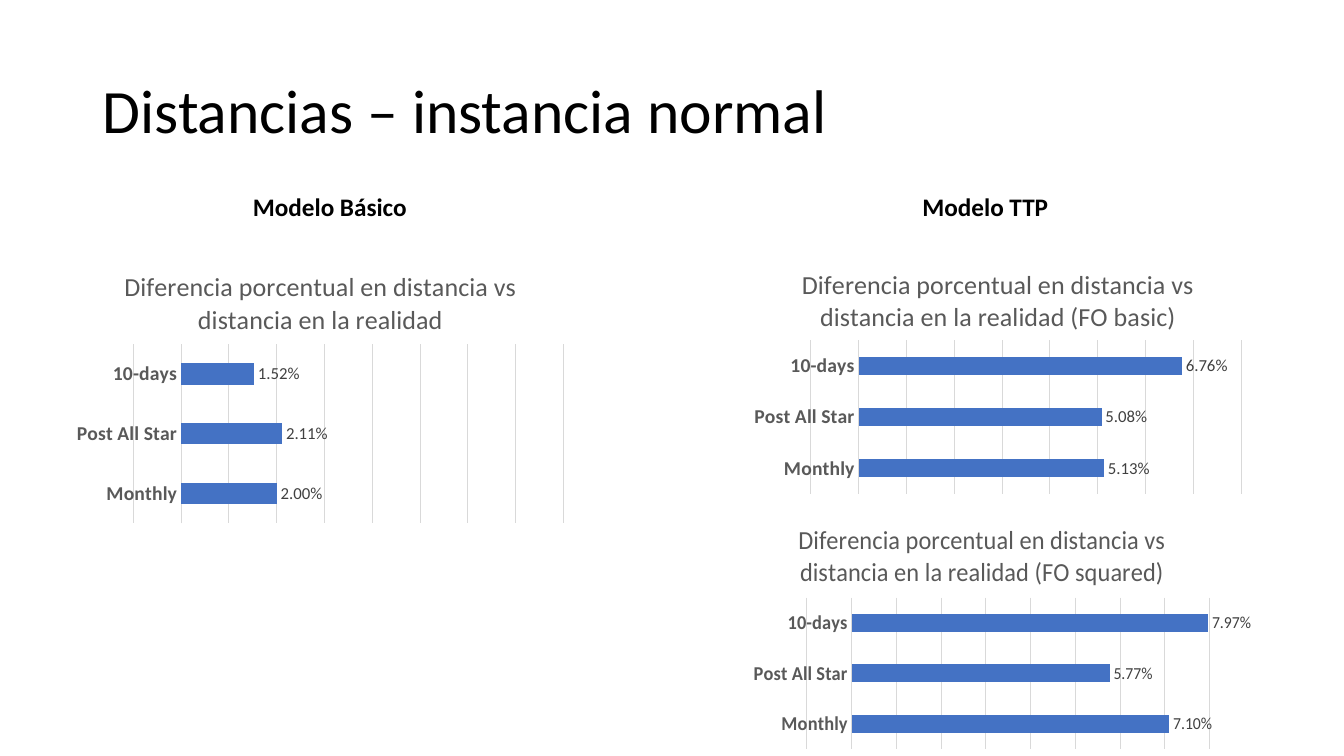
import pptx
import pptx.util
import pptx.dml.color
import pptx.chart.data
import pptx.enum.chart
import pptx.enum.text
import pptx.oxml
import pptx.oxml.ns

Inches = pptx.util.Inches
Pt = pptx.util.Pt
RGB = pptx.dml.color.RGBColor.from_string
XL = pptx.enum.chart

THEME = {
    "font": "Calibri",
    "text": RGB("000000"), "muted": RGB("595959"), "label": RGB("404040"),
    "grid": RGB("D9D9D9"), "bar": RGB("4472C4"),
    "title": Pt(44), "heading": Pt(18), "chart_title": Pt(18.6),
    "axis": Pt(14), "value": Pt(12), "base": Pt(10), "line": Pt(0.75),
}


def style(font, size, color, bold=False):
    font.name = THEME["font"]
    font.size = THEME[size]
    font.color.rgb = THEME[color]
    font.bold = bold


def add_text(s, box, text, size, bold, wrap):
    tf = s.shapes.add_textbox(*map(Inches, box)).text_frame
    tf.word_wrap = wrap
    p = tf.paragraphs[0]
    r = p.add_run()
    r.text = text
    style(r.font, size, "text", bold)
    return tf


prs = pptx.Presentation()
prs.slide_width = Inches(13.33)
prs.slide_height = Inches(7.5)
s = prs.slides.add_slide(prs.slide_layouts[6])

tf = add_text(s, (0.92, 0.4, 11.5, 1.45), "Distancias – instancia normal", "title", False, True)
tf.vertical_anchor = pptx.enum.text.MSO_ANCHOR.MIDDLE
tf.paragraphs[0].line_spacing = 0.9

for left, width, heading in [(2.41, 1.74, "Modelo Básico"), (9.05, 1.46, "Modelo TTP")]:
    tf = add_text(s, (left, 1.85, width, 0.4), heading, "heading", True, False)
    tf.auto_size = pptx.enum.text.MSO_AUTO_SIZE.SHAPE_TO_FIT_TEXT

PERIODS = ["Monthly", "Post All Star", "10-days"]
CHART_TITLE = "Diferencia porcentual en distancia vs distancia en la realidad"
CHARTS = [
    (0.67, 2.51, 2.74, "", (0.02, 0.0211, 0.0152), 0.33, 0.65),
    (7.39, 2.49, 2.46, " (FO basic)", (0.0513, 0.0508, 0.0676), 0.36, 0.62),
    (7.39, 5.02, 2.46, " (FO squared)", (0.071, 0.0577, 0.0797), 0.37, 0.61),
]

for left, top, height, suffix, values, plot_top, plot_height in CHARTS:
    data = pptx.chart.data.CategoryChartData(number_format="0.00%")
    data.categories = PERIODS
    data.add_series("Series 1", values)
    chart = s.shapes.add_chart(
        XL.XL_CHART_TYPE.BAR_CLUSTERED,
        Inches(left), Inches(top), Inches(5.02), Inches(height), data,
    ).chart
    style(chart.font, "base", "text")
    chart.has_legend = False

    chart.has_title = True
    chart.chart_title.include_in_layout = False
    r = chart.chart_title.text_frame.paragraphs[0].add_run()
    r.text = CHART_TITLE + suffix
    style(r.font, "chart_title", "muted")

    cat = chart.category_axis
    cat.major_tick_mark = XL.XL_TICK_MARK.NONE
    cat.minor_tick_mark = XL.XL_TICK_MARK.NONE
    style(cat.tick_labels.font, "axis", "muted", True)

    val = chart.value_axis
    val.minimum_scale = -0.01
    val.maximum_scale = 0.08
    val.major_unit = 0.01
    val.has_major_gridlines = True
    val.visible = False

    for line in (cat.format.line, val.major_gridlines.format.line):
        line.color.rgb = THEME["grid"]
        line.width = THEME["line"]

    plot = chart.plots[0]
    plot.gap_width = 182
    plot.vary_by_categories = False
    fill = plot.series[0].format.fill
    fill.solid()
    fill.fore_color.rgb = THEME["bar"]

    plot.has_data_labels = True
    labels = plot.data_labels
    labels.show_value = True
    labels.number_format = "0.00%"
    labels.number_format_is_linked = False
    labels.position = XL.XL_LABEL_POSITION.OUTSIDE_END
    style(labels.font, "value", "label")

    area = chart.element.find(".//" + pptx.oxml.ns.qn("c:plotArea"))
    for layout in area.findall(pptx.oxml.ns.qn("c:layout")):
        area.remove(layout)
    area.insert(0, pptx.oxml.parse_xml(
        f'<c:layout {pptx.oxml.ns.nsdecls("c")}><c:manualLayout>'
        '<c:layoutTarget val="inner"/><c:xMode val="edge"/><c:yMode val="edge"/>'
        f'<c:x val="0.13"/><c:y val="{plot_top}"/>'
        f'<c:w val="0.85"/><c:h val="{plot_height}"/>'
        '</c:manualLayout></c:layout>'
    ))

prs.save("out.pptx")
